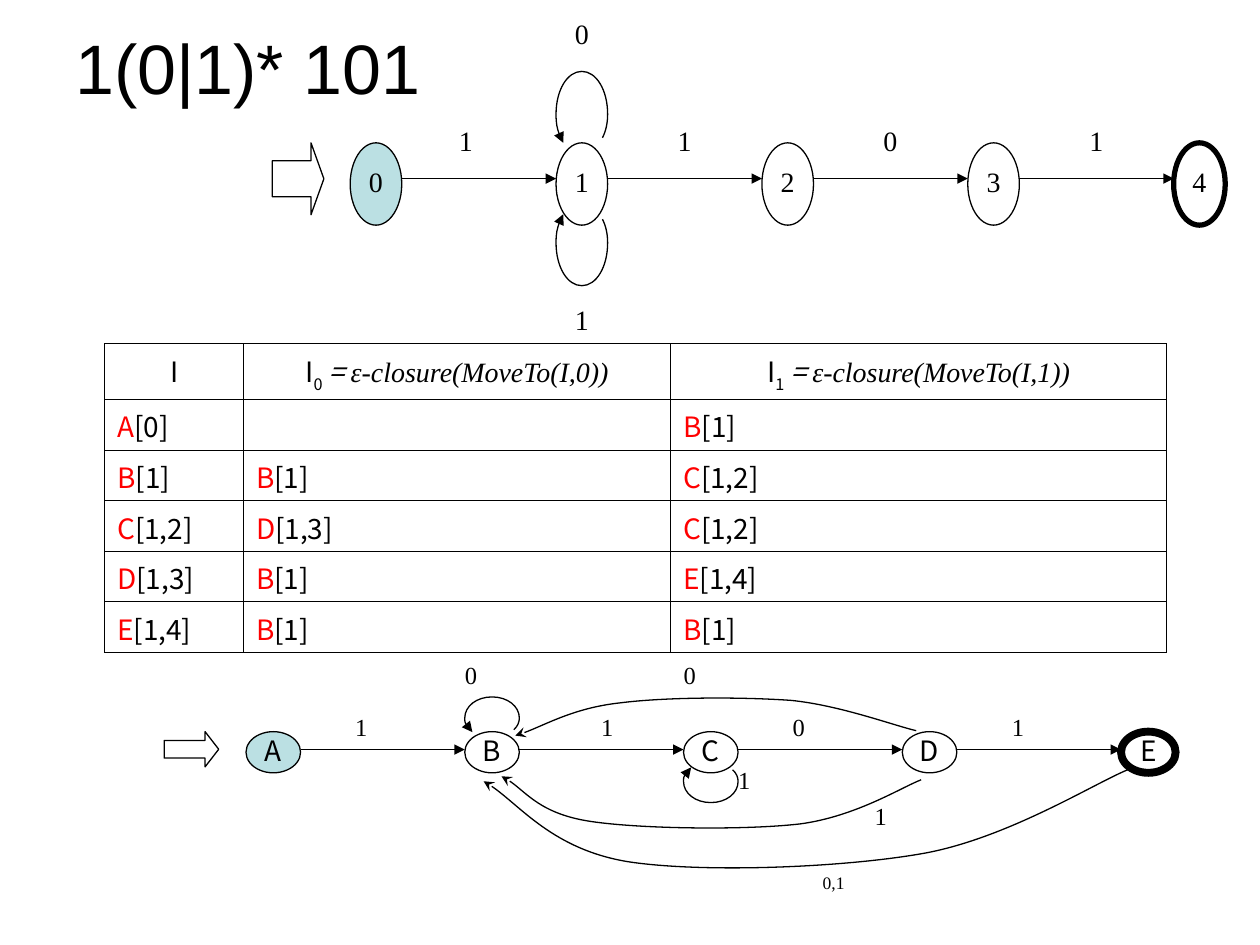
from dataclasses import dataclass

from lxml import etree
from pptx import Presentation
from pptx import util as u
from pptx.dml.color import RGBColor
from pptx.enum import shapes as sh, text as tx
from pptx.oxml.ns import qn

BLACK = RGBColor(0, 0, 0)
WHITE = RGBColor(0xFF, 0xFF, 0xFF)
RED = RGBColor(0xFF, 0, 0)
TEAL = RGBColor(0xBB, 0xE0, 0xE3)
TIMES = "Times New Roman"
NOTO = "Noto Sans CJK SC"
MID, TOP = tx.MSO_ANCHOR.MIDDLE, tx.MSO_ANCHOR.TOP
MIDST, JUST = tx.PP_ALIGN.CENTER, tx.PP_ALIGN.JUSTIFY


@dataclass
class Box:
    left: float
    top: float
    wide: float
    high: float

    def cm(self):
        return [u.Cm(v) for v in (self.left, self.top, self.wide, self.high)]


@dataclass
class Style:
    size: int = 16
    face: str = TIMES
    align: tx.PP_ALIGN = MIDST
    anchor: tx.MSO_ANCHOR = MID
    space: float = 0.88


@dataclass
class Chain:
    names: str
    start: Box
    step: float
    wire: float
    style: Style
    bold: float


@dataclass
class Label:
    text: str
    box: Box
    style: Style


@dataclass
class Loop:
    box: Box
    above: bool


LARGE = Style()
SMALL = Style(14, TIMES, JUST, TOP, 0.96)
TINY = Style(10, TIMES, MIDST, TOP, 0.96)
CHAINS = [
    Chain("01234", Box(7.06, 2.88, 1.04, 1.66), 4.15, 3.6, LARGE, 3),
    Chain("ABCDE", Box(4.96, 14.75, 1.1, 0.83), 4.41, 15.11,
          Style(16, NOTO, MIDST, TOP), 4.5),
]
LABELS = [Label(t, Box(9.13 + 4.15 * i - (0.26 if i else 0) * 0, 2.16, 1.04 if i else 0.52, 1.44), LARGE)
          for i, t in enumerate("1101")]
LABELS += [Label(t, Box(11.21, y, 1.04, 1.44), LARGE)
           for t, y in (("0", 0), ("1", 5.77))]
LABELS += [Label(t, Box(x, y, 1.1, 0.71), SMALL) for t, x, y in (
    ("1", 7.16, 14.4), ("1", 12.12, 14.4), ("0", 15.98, 14.4),
    ("1", 20.4, 14.4), ("1", 17.63, 16.18), ("0", 9.37, 13.34),
    ("0", 13.78, 13.34), ("1", 14.88, 15.47))]
LABELS.append(Label("0,1", Box(15.98, 17.6, 1.65, 0.71), TINY))
LOOPS = [
    Loop(Box(11.21, 1.44, 1.04, 1.44), True),
    Loop(Box(11.21, 4.32, 1.04, 1.44), False),
    Loop(Box(9.37, 14.05, 1.1, 0.71), True),
    Loop(Box(13.78, 15.47, 1.1, 0.71), False),
]
RING = [(0.9, 0.07), (0.97, 0.17), (1, 0.28), (1, 0.4), (1, 0.74), (0.78, 1),
        (0.5, 1), (0.22, 1), (0, 0.74), (0, 0.4), (0, 0.26), (0.05, 0.1),
        (0.14, 0)]
CURVES = [
    [(18.47, 14.73), (18.03, 14.63), (16.94, 14.22), (15.95, 14.12),
     (14.96, 14.05), (13.44, 14.05), (12.5, 14.17),
     (11.58, 14.27), (10.82, 14.71), (10.39, 14.83)],
    [(18.57, 15.72), (18.16, 15.88), (17.25, 16.46), (16.13, 16.61),
     (15.01, 16.74), (12.9, 16.71), (11.91, 16.56),
     (10.9, 16.41), (10.49, 15.82), (10.11, 15.65)],
    [(22.73, 15.52), (22.05, 15.8), (20.32, 16.89), (18.64, 17.2),
     (16.97, 17.5), (14.12, 17.6), (12.65, 17.37),
     (11.15, 17.12), (10.36, 16.08), (9.75, 15.75)],
]
ARROWS = [(Box(5.49, 2.88, 1.04, 1.45), 0.25),
          (Box(3.31, 14.75, 1.1, 0.71), 0.386)]
ROWS = [("A[0]", "", "B[1]"), ("B[1]", "B[1]", "C[1,2]"),
        ("C[1,2]", "D[1,3]", "C[1,2]"), ("D[1,3]", "B[1]", "E[1,4]"),
        ("E[1,4]", "B[1]", "B[1]")]


def write(shape, words: str, style: Style) -> None:
    frame = shape.text_frame
    frame.text = words
    frame.word_wrap = True
    frame.vertical_anchor = style.anchor
    frame.margin_left = frame.margin_right = u.Cm(0)
    frame.margin_top = frame.margin_bottom = u.Cm(0)
    para = frame.paragraphs[0]
    para.alignment = style.align
    para.line_spacing = style.space
    paint(para.runs[0], style.face, style.size)


def paint(run, face: str, size: int = 16, color: RGBColor = BLACK) -> None:
    run.font.name = face
    run.font.size = u.Pt(size)
    run.font.color.rgb = color


def ink(shape, width: float = 0.75) -> None:
    shape.line.color.rgb = BLACK
    shape.line.width = u.Pt(width)


def point(shape, head: str) -> None:
    line = shape.element.spPr.find(qn("a:ln"))
    etree.SubElement(line, qn("a:tailEnd"), type=head)


def solid(slide, kind, box: Box, color: RGBColor, width: float = 0.75):
    shape = slide.shapes.add_shape(kind, *box.cm())
    shape.shadow.inherit = False
    shape.fill.solid()
    shape.fill.fore_color.rgb = color
    ink(shape, width)
    return shape


def wire(slide, left: float, right: float, y: float) -> None:
    line = slide.shapes.add_connector(
        sh.MSO_CONNECTOR.STRAIGHT, u.Cm(left), u.Cm(y), u.Cm(right), u.Cm(y))
    ink(line)
    point(line, "triangle")
    etree.SubElement(line.element.spPr, qn("a:effectLst"))


def chain(slide, row: Chain) -> None:
    first = row.start
    last = len(row.names) - 1
    for i, name in enumerate(row.names):
        box = Box(first.left + i * row.step, first.top, first.wide, first.high)
        node = solid(slide, sh.MSO_SHAPE.OVAL, box, WHITE if i else TEAL,
                     row.bold if i == last else 0.75)
        write(node, name, row.style)
        if i < last:
            wire(slide, box.left + box.wide, box.left + row.step, row.wire)


def curve(slide, spots: list, head: str) -> None:
    spots = [(u.Cm(x), u.Cm(y)) for x, y in spots]
    pen = slide.shapes.build_freeform(*spots[0])
    pen.add_line_segments(spots[1:], close=False)
    shape = pen.convert_to_shape()
    shape.shadow.inherit = False
    shape.fill.background()
    ink(shape)
    point(shape, head)
    track = next(shape.element.iter(qn("a:path")))
    lines = list(track)[1:]
    for i in range(0, len(lines), 3):
        bend = etree.SubElement(track, qn("a:cubicBezTo"))
        for line in lines[i:i + 3]:
            bend.append(line[0])
            track.remove(line)


def loop(slide, item: Loop) -> None:
    b = item.box
    curve(slide, [(b.left + x * b.wide,
                   b.top + (1 - y if item.above else y) * b.high)
                  for x, y in RING], "triangle")


def frame(cell) -> None:
    cell.fill.background()
    props = cell._tc.get_or_add_tcPr()
    for i, side in enumerate(("lnL", "lnR", "lnT", "lnB")):
        line = etree.Element(qn("a:" + side), w=str(u.Pt(0.45)))
        fill = etree.SubElement(line, qn("a:solidFill"))
        etree.SubElement(fill, qn("a:srgbClr"), val=str(BLACK))
        props.insert(i, line)


def add(para, words: str, face: str = NOTO, color: RGBColor = BLACK):
    run = para.add_run()
    run.text = words
    paint(run, face, 16, color)
    return run


def table(slide) -> None:
    grid = slide.shapes.add_table(6, 3, *Box(2.11, 6.93, 21.41, 6.22).cm()).table
    grid.first_row = grid.horz_banding = False
    for col, wide in zip(grid.columns, (2.8, 8.61, 10)):
        col.width = u.Cm(wide)
    for i, row in enumerate(grid.rows):
        row.height = u.Cm(1.02 if i else 1.12)
        for j, cell in enumerate(row.cells):
            frame(cell)
            para = cell.text_frame.paragraphs[0]
            props = para._p.get_or_add_pPr()
            props.set("marL", str(u.Cm(0.97)))
            props.set("indent", str(-u.Cm(0.97)))
            if i:
                words = ROWS[i - 1][j]
                if words:
                    add(para, words[0], color=RED)
                    add(para, words[1:])
                continue
            para.alignment = MIDST
            add(para, "I")
            if j:
                cell.vertical_anchor = MID
                sub = add(para, str(j - 1))
                sub.font._element.set("baseline", "-30000")
                add(para, " = ").font.italic = True
                add(para, f"ε-closure(MoveTo(I,{j - 1}))", TIMES).font.italic = True


def main() -> None:
    deck = Presentation()
    deck.slide_width, deck.slide_height = u.Cm(25.4), u.Cm(19.05)
    slide = deck.slides.add_slide(deck.slide_layouts[6])
    title = slide.shapes.add_textbox(*Box(1.27, 0.76, 22.86, 1.17).cm())
    title.text_frame.text = "1(0|1)* 101"
    title.text_frame.word_wrap = True
    title.text_frame.vertical_anchor = MID
    paint(title.text_frame.paragraphs[0].runs[0], "Arial", 40)
    table(slide)
    for row in CHAINS:
        chain(slide, row)
    for box, tip in ARROWS:
        arrow = solid(slide, sh.MSO_SHAPE.RIGHT_ARROW, box, WHITE)
        arrow.adjustments[1] = tip
    for item in LOOPS:
        loop(slide, item)
    for spots in CURVES:
        curve(slide, spots, "stealth")
    for item in LABELS:
        write(slide.shapes.add_textbox(*item.box.cm()), item.text, item.style)
    deck.save("out.pptx")


if __name__ == "__main__":
    main()
